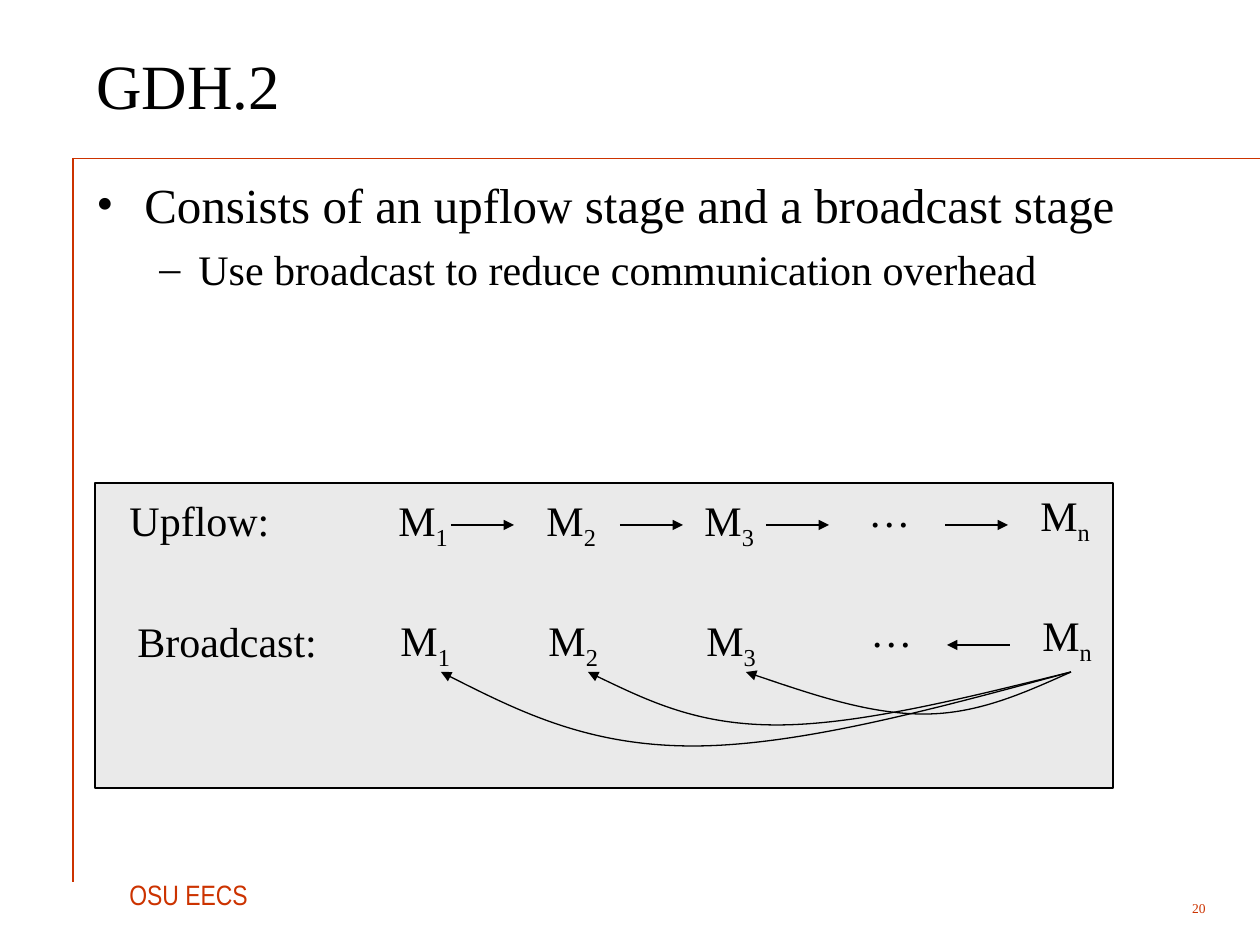
from lxml import etree
from pptx import Presentation
from pptx.dml.color import RGBColor
from pptx.enum.shapes import MSO_CONNECTOR, MSO_SHAPE
from pptx.enum.text import MSO_ANCHOR, MSO_AUTO_SIZE, PP_ALIGN
from pptx.oxml.ns import qn
from pptx.util import Pt

STRAIGHT = MSO_CONNECTOR.STRAIGHT
RECT = MSO_SHAPE.RECTANGLE
TOP, MIDDLE = MSO_ANCHOR.TOP, MSO_ANCHOR.MIDDLE
FIXED = MSO_AUTO_SIZE.NONE
LEFT, RIGHT = PP_ALIGN.LEFT, PP_ALIGN.RIGHT

SCALE = 914400 / 126  # EMU in one px
COLORS = {"ink": "000000", "red": "CC3300", "panel": "EAEAEA"}
SERIF, NARROW = "Times New Roman", "Arial Narrow"


def px(n):
    return round(n * SCALE)


def color(name):
    return RGBColor.from_string(COLORS[name])


def add_bullet(para, mark, left, hang):
    props = para._p.get_or_add_pPr()
    props.set("marL", str(px(left)))
    props.set("indent", str(px(-hang)))
    tint = etree.SubElement(props, qn("a:buClr"))
    etree.SubElement(tint, qn("a:srgbClr"), val=COLORS["ink"])
    etree.SubElement(props, qn("a:buFont"), typeface=SERIF)
    etree.SubElement(props, qn("a:buChar"), char=mark)


def add_run(para, text, size, font, ink, sub=False):
    run = para.add_run()
    run.text = text
    run.font.size = Pt(size)
    run.font.name = font
    run.font.color.rgb = color(ink)
    if sub:
        run._r.get_or_add_rPr().set("baseline", "-25000")


def add_text(slide, text, x, y, w, h, size=24, font=SERIF, ink="ink",
             sub="", align=LEFT, anchor=TOP):
    box = slide.shapes.add_textbox(px(x), px(y), px(w), px(h))
    frame = box.text_frame
    frame.word_wrap = True
    frame.auto_size = FIXED
    frame.vertical_anchor = anchor
    para = frame.paragraphs[0]
    para.alignment = align
    add_run(para, text, size, font, ink)
    if sub:
        add_run(para, sub, size, font, ink, sub=True)
    return frame


def set_line(shape, ink="ink", width=0.75, tip=None):
    shape.line.color.rgb = color(ink)
    shape.line.width = Pt(width)
    if tip:
        etree.SubElement(shape.line._ln, qn(f"a:{tip}"), type="triangle")


def add_line(slide, x1, y1, x2, y2, **style):
    line = slide.shapes.add_connector(STRAIGHT, px(x1), px(y1), px(x2), px(y2))
    set_line(line, **style)
    etree.SubElement(line._element.spPr, qn("a:effectLst"))


def add_curve(slide, start, top, drop, xs):
    """Arrow of two Bezier arcs that dips by drop and comes back to top."""
    dips = (0.5, 1, 1, 1, 0.5, 0)
    points = [(px(x), px(top + drop * dip)) for x, dip in zip(xs, dips)]
    pen = slide.shapes.build_freeform(px(start), px(top))
    pen.add_line_segments(points, close=False)
    curve = pen.convert_to_shape()
    # Turn each three straight segments into one cubic arc
    segs = list(curve._element.iter(qn("a:lnTo")))
    for i in range(0, len(segs), 3):
        arc = etree.Element(qn("a:cubicBezTo"))
        segs[i].addprevious(arc)
        for seg in segs[i:i + 3]:
            arc.append(seg[0])
            seg.getparent().remove(seg)
    curve.fill.background()
    curve.shadow.inherit = False
    set_line(curve, tip="tailEnd")


def add_panel(slide, x, y, w, h):
    panel = slide.shapes.add_shape(RECT, px(x), px(y), px(w), px(h))
    panel.shadow.inherit = False
    panel.fill.solid()
    panel.fill.fore_color.rgb = color("panel")
    set_line(panel)


def add_row(slide, dx, dy):
    """Members M1 to Mn of one stage."""
    for sub, x, y in (("1", 386, 488), ("2", 534, 488),
                      ("3", 692, 488), ("n", 1028, 483)):
        add_text(slide, "M", x + dx, y + dy, 84, 70, sub=sub)
    add_text(slide, "…", 856 + dx, 479 + dy, 75, 63)


def add_body(slide):
    frame = add_text(slide, "Consists of an upflow stage and a broadcast stage",
                     84, 168, 1138, 168, size=28)
    add_bullet(frame.paragraphs[0], "•", 48, 48)
    para = frame.add_paragraph()
    para.level = 1
    para.space_before = Pt(6)
    add_bullet(para, "–", 102, 39)
    add_run(para, "Use broadcast to reduce communication overhead",
            24, SERIF, "ink")


def main():
    deck = Presentation()
    deck.slide_width, deck.slide_height = px(1260), px(945)
    slide = deck.slides.add_slide(deck.slide_layouts[6])

    # Frame lines and footer
    add_line(slide, 73, 158, 1260, 158, ink="red", width=0.25)
    add_line(slide, 73, 158, 73, 882, ink="red")
    add_text(slide, "OSU EECS", 117, 871, 165, 47, size=16, font=NARROW,
             ink="red")
    add_text(slide, "20", 1113, 892, 105, 32, size=7.7, ink="red",
             align=RIGHT, anchor=MIDDLE)

    # Title and body
    add_panel(slide, 95, 483, 1018, 305)
    add_text(slide, "GDH.2", 84, 21, 1135, 126, size=36, anchor=MIDDLE)
    add_body(slide)

    # Upflow stage
    add_text(slide, "Upflow:", 117, 488, 180, 63)
    add_row(slide, 0, 0)
    for x in (451, 620, 766, 945):
        add_line(slide, x, 525, x + 63, 525, tip="tailEnd")

    # Broadcast stage
    add_text(slide, "Broadcast:", 125, 609, 225, 63)
    add_row(slide, 2, 120)
    add_line(slide, 947, 645, 1010, 645, tip="headEnd")
    for drop, xs in ((42, (1024, 978, 924, 869, 808, 746)),
                     (53, (964, 858, 777, 697, 643, 588)),
                     (74, (935, 798, 693, 588, 514, 441))):
        add_curve(slide, 1071, 672, drop, xs)

    deck.save("out.pptx")


if __name__ == "__main__":
    main()
